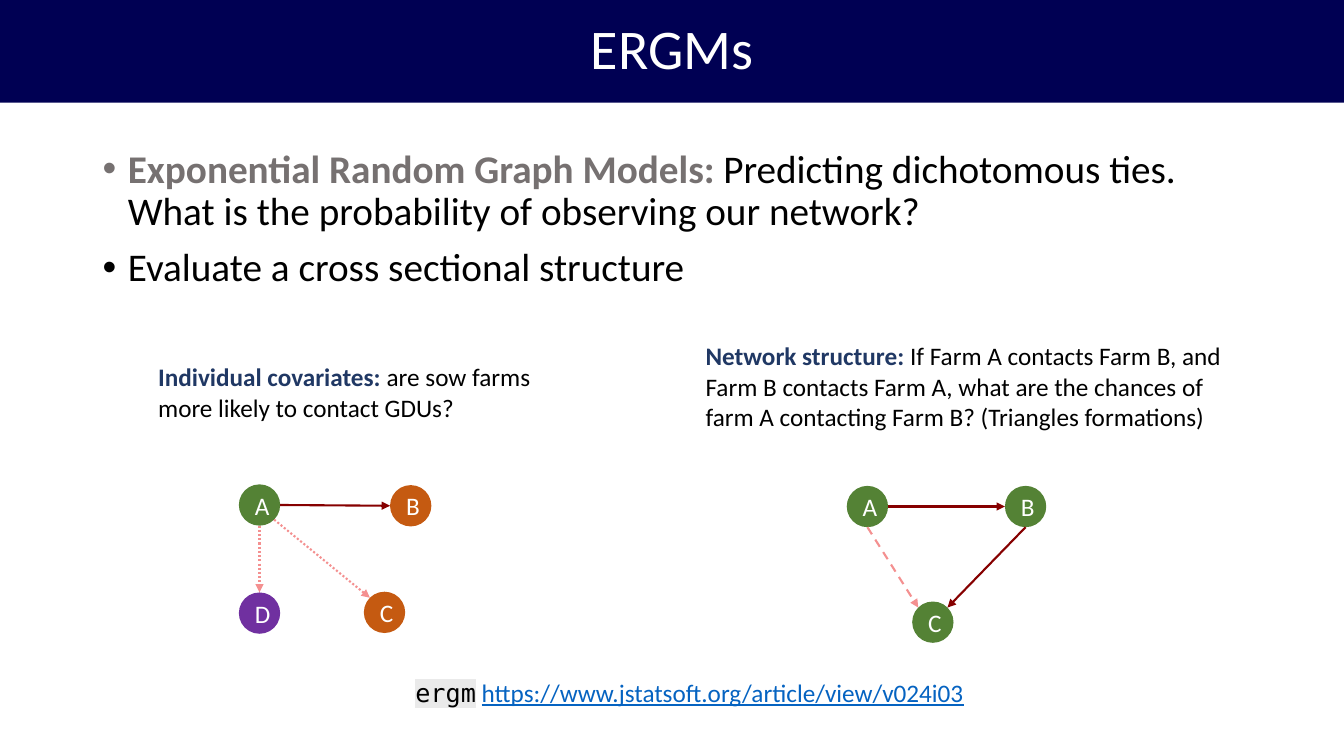
import math
from dataclasses import dataclass

from lxml import etree
from pptx import Presentation
from pptx import util as u
from pptx.dml.color import RGBColor
from pptx.enum import dml, shapes, text
from pptx.oxml import ns

WIDTH, HEIGHT = u.Inches(13.33), u.Inches(7.5)
COLUMN, ROW = WIDTH / 100, HEIGHT / 100
DIAMETER = u.Inches(0.41)
WHITE, BLACK, NAVY, GREY = "FFFFFF", "000000", "000053", "767171"
GREEN, ORANGE, PURPLE = "548235", "C55A11", "7030A0"
RED, PINK, HEADING, LINK = "860000", "F49090", "203864", "0563C1"
DASH, DOT = dml.MSO_LINE.DASH, dml.MSO_LINE.ROUND_DOT

# Compass directions in degrees, clockwise from the right of a node
RIGHT, LOWER_RIGHT, BOTTOM, LEFT = 0, 45, 90, 180
UPPER_LEFT, TOP, UPPER_RIGHT = 225, 270, 315


@dataclass(frozen=True)
class Farm:
    """A network node, centred at a column and a row."""
    name: str
    column: float
    row: float
    color: str

    def edge(self, angle: float) -> tuple[int, int]:
        """Return the point on the rim in the given direction."""
        turn = math.radians(angle)
        return (round(self.column * COLUMN + DIAMETER / 2 * math.cos(turn)),
                round(self.row * ROW + DIAMETER / 2 * math.sin(turn)))


@dataclass(frozen=True)
class Contact:
    """An arrow from one farm's rim to another's."""
    source: str
    leave: float
    target: str
    arrive: float
    color: str = RED
    dash: dml.MSO_LINE | None = None


COVARIATES = (
    [Farm("A", 19.31, 66.8, GREEN), Farm("B", 30.56, 66.9, ORANGE),
     Farm("D", 19.31, 81.1, PURPLE), Farm("C", 28.61, 81, ORANGE)],
    [Contact("A", RIGHT, "B", LEFT),
     Contact("A", LOWER_RIGHT, "C", UPPER_LEFT, PINK, DOT),
     Contact("A", BOTTOM, "D", TOP, PINK, DOT)],
)
TRIANGLE = (
    [Farm("A", 64.54, 67, GREEN), Farm("C", 69.41, 82.3, GREEN),
     Farm("B", 76.31, 67, GREEN)],
    [Contact("A", RIGHT, "B", LEFT),
     Contact("B", BOTTOM, "C", UPPER_RIGHT),
     Contact("A", BOTTOM, "C", UPPER_LEFT, PINK, DASH)],
)


def rgb(value: str) -> RGBColor:
    """Turn a hex string into a colour."""
    return RGBColor.from_string(value)


def add_span(para, words: str, *, size: float = 18, color: str = BLACK,
             font: str = "Calibri", bold: bool = False,
             underline: bool = False, highlight: str | None = None) -> None:
    """Append a formatted run to a paragraph."""
    span = para.add_run()
    span.text = words
    span.font.size, span.font.name = u.Pt(size), font
    span.font.bold, span.font.underline = bold, underline
    span.font.color.rgb = rgb(color)
    if highlight:
        mark = etree.Element(ns.qn("a:highlight"))
        etree.SubElement(mark, ns.qn("a:srgbClr"), val=highlight)
        span.font._element.find(ns.qn("a:solidFill")).addnext(mark)


def add_box(page, column: float, row: float, columns: float, rows: float,
            wrap: bool = True, grow: bool = True):
    """Add a text box on the grid and return its text frame."""
    box = page.shapes.add_textbox(round(column * COLUMN), round(row * ROW),
                                  round(columns * COLUMN), round(rows * ROW))
    frame = box.text_frame
    frame.word_wrap = wrap
    if grow:
        frame.auto_size = text.MSO_AUTO_SIZE.SHAPE_TO_FIT_TEXT
    return frame


def add_filled(parent, kind, left: int, top: int, width: int, height: int,
               color: str, label: str, size: float):
    """Add a plain filled shape with a centred white label."""
    shape = parent.add_shape(kind, left, top, width, height)
    shape.shadow.inherit = False
    shape.fill.solid()
    shape.fill.fore_color.rgb = rgb(color)
    shape.line.fill.background()
    shape.text_frame.vertical_anchor = text.MSO_ANCHOR.MIDDLE
    para = shape.text_frame.paragraphs[0]
    para.alignment = text.PP_ALIGN.CENTER
    add_span(para, label, size=size, color=WHITE)
    return shape


def add_arrow(parent, start: tuple[int, int], end: tuple[int, int],
              contact: Contact) -> None:
    """Add a straight arrow in the style of a contact."""
    arrow = parent.add_connector(shapes.MSO_CONNECTOR.STRAIGHT, *start, *end)
    arrow.line.width = u.Pt(1.5)
    arrow.line.color.rgb = rgb(contact.color)
    if contact.dash:
        arrow.line.dash_style = contact.dash
    etree.SubElement(arrow.line._get_or_add_ln(), ns.qn("a:tailEnd"),
                     type="triangle")
    etree.SubElement(arrow._element.spPr, ns.qn("a:effectLst"))


def add_network(page, farms: list[Farm], contacts: list[Contact]) -> None:
    """Draw farms and their contacts as one group."""
    group = page.shapes.add_group_shape().shapes
    for farm in farms:
        add_filled(group, shapes.MSO_SHAPE.OVAL,
                   round(farm.column * COLUMN - DIAMETER / 2),
                   round(farm.row * ROW - DIAMETER / 2),
                   DIAMETER, DIAMETER, farm.color, farm.name, 18)
    by_name = {farm.name: farm for farm in farms}
    for contact in contacts:
        add_arrow(group, by_name[contact.source].edge(contact.leave),
                  by_name[contact.target].edge(contact.arrive), contact)


def add_bullet(para) -> None:
    """Give a paragraph a hanging bullet and body spacing."""
    para.line_spacing, para.space_before = 0.9, u.Pt(10)
    props = para._p.get_or_add_pPr()
    props.set("marL", str(u.Inches(0.25)))
    props.set("indent", str(-u.Inches(0.25)))
    etree.SubElement(props, ns.qn("a:buFont"), typeface="Arial")
    etree.SubElement(props, ns.qn("a:buChar"), char="•")


def add_caption(page, place: tuple, heading: str, words: str) -> None:
    """Add a caption that opens with a bold heading."""
    para = add_box(page, *place).paragraphs[0]
    add_span(para, heading, color=HEADING, bold=True)
    add_span(para, words)


def main() -> None:
    """Build the slide and save it."""
    deck = Presentation()
    deck.slide_width, deck.slide_height = WIDTH, HEIGHT
    page = deck.slides.add_slide(deck.slide_layouts[6])

    body = add_box(page, 6.9, 19.07, 86.27, 23.47, grow=False)
    first, second = body.paragraphs[0], body.add_paragraph()
    add_bullet(first)
    add_span(first, "Exponential Random Graph Models:", size=28, color=GREY,
             bold=True)
    add_span(first, " Predicting dichotomous ties. What is the probability "
             "of observing our network?", size=28)
    add_bullet(second)
    add_span(second, "Evaluate a cross sectional structure", size=28)

    title = add_filled(page.shapes, shapes.MSO_SHAPE.RECTANGLE, 0,
                       round(-0.13 * ROW), WIDTH, round(13.73 * ROW), NAVY,
                       "ERGMs", 40)
    title.text_frame.paragraphs[0].line_spacing = 0.9

    add_network(page, *TRIANGLE)
    add_network(page, *COVARIATES)
    add_caption(page, (11.03, 47.2, 31.88, 13.47), "Individual covariates:",
                " are sow farms more likely to contact GDUs?")
    add_caption(page, (51.76, 44.4, 41.41, 13.47), "Network structure: ",
                "If Farm A contacts Farm B, and Farm B contacts Farm A, what "
                "are the chances of farm A contacting Farm B? "
                "(Triangles formations)")

    source = add_box(page, 30.16, 88.93, 42.46, 5.33, wrap=False).paragraphs[0]
    add_span(source, "ergm", font="DejaVu Sans Mono", highlight="EAEAEA")
    add_span(source, " ")
    add_span(source, "https://www.jstatsoft.org/article/view/v024i03",
             color=LINK, underline=True)
    deck.save("out.pptx")


main()
